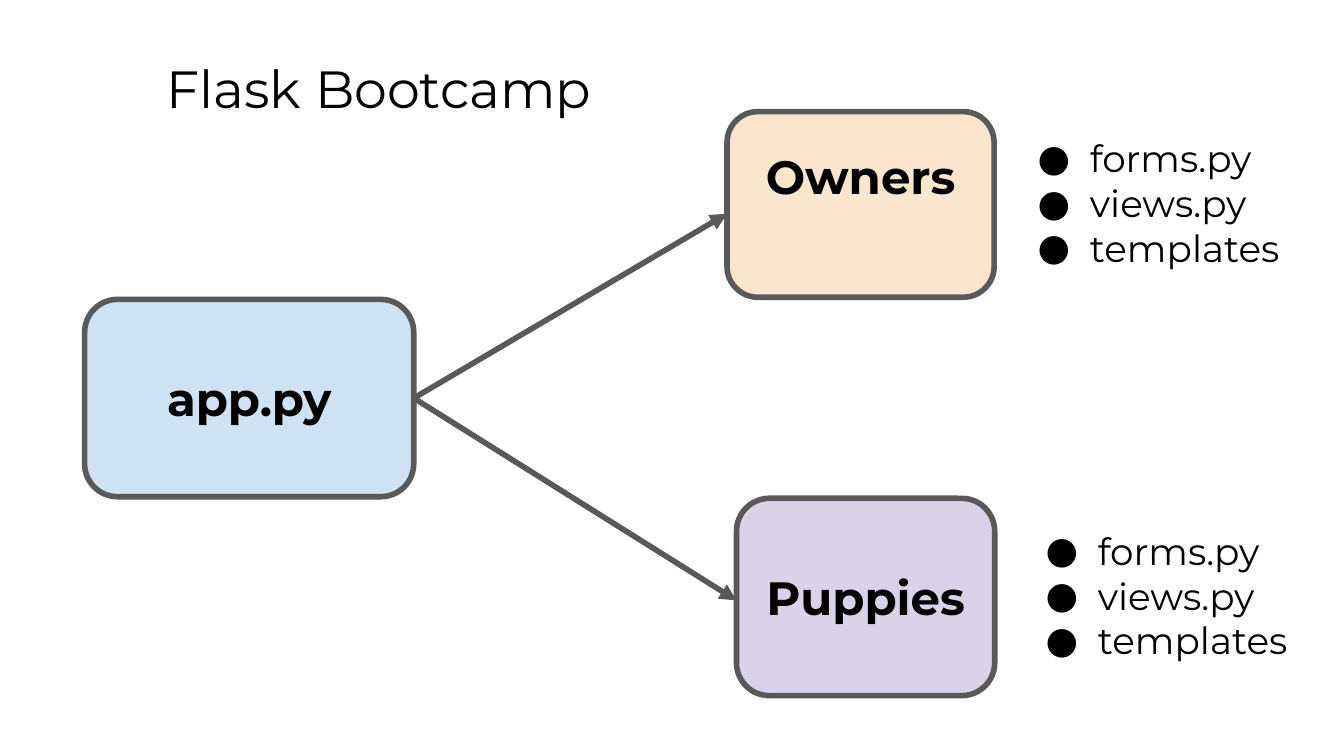
from lxml import etree
from pptx import Presentation
from pptx.dml.color import RGBColor
from pptx.enum.shapes import MSO_CONNECTOR, MSO_SHAPE
from pptx.enum.text import MSO_ANCHOR, PP_ALIGN
from pptx.oxml.ns import qn
from pptx.util import Cm, Pt

ROUNDED = MSO_SHAPE.ROUNDED_RECTANGLE
STRAIGHT = MSO_CONNECTOR.STRAIGHT
MIDDLE = MSO_ANCHOR.MIDDLE
CENTER = PP_ALIGN.CENTER

FONT = "Montserrat"
BLACK = "000000"
GREY = "595959"
INSET = 0.25
MODULE_FILES = ["forms.py", "views.py", "templates"]

# Boxes are (left, top, width, height) in centimetres.
TITLE_BOX = (2.9, 0.81, 21.64, 1.6)
APP_BOX = (1.6, 5.66, 6.22, 3.73)
# name, fill, card box, file list box, height of the arrow tip, bottom inset
MODULES = [
    ("Owners", "FCE5CD", (13.74, 2.11, 5.05, 3.51), (19.08, 2.31, 5.74, 3.1), 4.04, 1.33),
    ("Puppies", "D9D2E9", (13.92, 9.42, 4.88, 3.73), (19.23, 9.73, 5.74, 3.1), 11.35, INSET),
]


def color(hex_value):
    return RGBColor.from_string(hex_value)


def lengths(box):
    return [Cm(value) for value in box]


def set_up_frame(frame, bottom=INSET):
    frame.word_wrap = True
    frame.margin_left = frame.margin_right = frame.margin_top = Cm(INSET)
    frame.margin_bottom = Cm(bottom)


def add_run(paragraph, text, size, bold=False):
    run = paragraph.add_run()
    run.text = text
    run.font.name = FONT
    run.font.size = Pt(size)
    run.font.bold = bold
    run.font.color.rgb = color(BLACK)


def set_outline(line):
    line.color.rgb = color(GREY)
    line.width = Pt(3)


def add_title(slide, box, text):
    title = slide.shapes.add_textbox(*lengths(box))
    set_up_frame(title.text_frame)
    add_run(title.text_frame.paragraphs[0], text, 28)


def add_card(slide, box, name, fill, bottom=INSET):
    """Draw a rounded card; a larger bottom inset lifts its name."""
    card = slide.shapes.add_shape(ROUNDED, *lengths(box))
    card.shadow.inherit = False
    card.fill.solid()
    card.fill.fore_color.rgb = color(fill)
    set_outline(card.line)
    frame = card.text_frame
    set_up_frame(frame, bottom)
    frame.vertical_anchor = MIDDLE
    frame.paragraphs[0].alignment = CENTER
    add_run(frame.paragraphs[0], name, 25, bold=True)


def add_bullet(paragraph):
    properties = paragraph._p.get_or_add_pPr()
    properties.set("marL", str(Cm(1.27)))
    properties.set("indent", str(Cm(-0.99)))
    bullet_color = etree.SubElement(properties, qn("a:buClr"))
    etree.SubElement(bullet_color, qn("a:srgbClr"), val=BLACK)
    etree.SubElement(properties, qn("a:buFont"), typeface=FONT)
    etree.SubElement(properties, qn("a:buChar"), char="●")


def add_file_list(slide, box, files):
    frame = slide.shapes.add_textbox(*lengths(box)).text_frame
    set_up_frame(frame)
    for index, file_name in enumerate(files):
        paragraph = frame.add_paragraph() if index else frame.paragraphs[0]
        add_bullet(paragraph)
        add_run(paragraph, file_name, 20)


def add_arrow(slide, start, tip):
    arrow = slide.shapes.add_connector(STRAIGHT, *lengths(start + tip))
    set_outline(arrow.line)
    etree.SubElement(arrow.line._get_or_add_ln(), qn("a:tailEnd"), type="triangle")
    etree.SubElement(arrow._element.spPr, qn("a:effectLst"))


def main():
    presentation = Presentation()
    presentation.slide_width = Cm(25.4)
    presentation.slide_height = Cm(14.29)
    slide = presentation.slides.add_slide(presentation.slide_layouts[6])

    add_title(slide, TITLE_BOX, "Flask Bootcamp")
    add_card(slide, APP_BOX, "app.py", "CFE2F3")
    left, top, width, height = APP_BOX
    app_exit = (left + width, top + height / 2)
    for name, fill, card_box, list_box, tip_y, bottom in MODULES:
        add_arrow(slide, app_exit, (card_box[0], tip_y))
        add_card(slide, card_box, name, fill, bottom)
        add_file_list(slide, list_box, MODULE_FILES)

    presentation.save("out.pptx")


if __name__ == "__main__":
    main()
